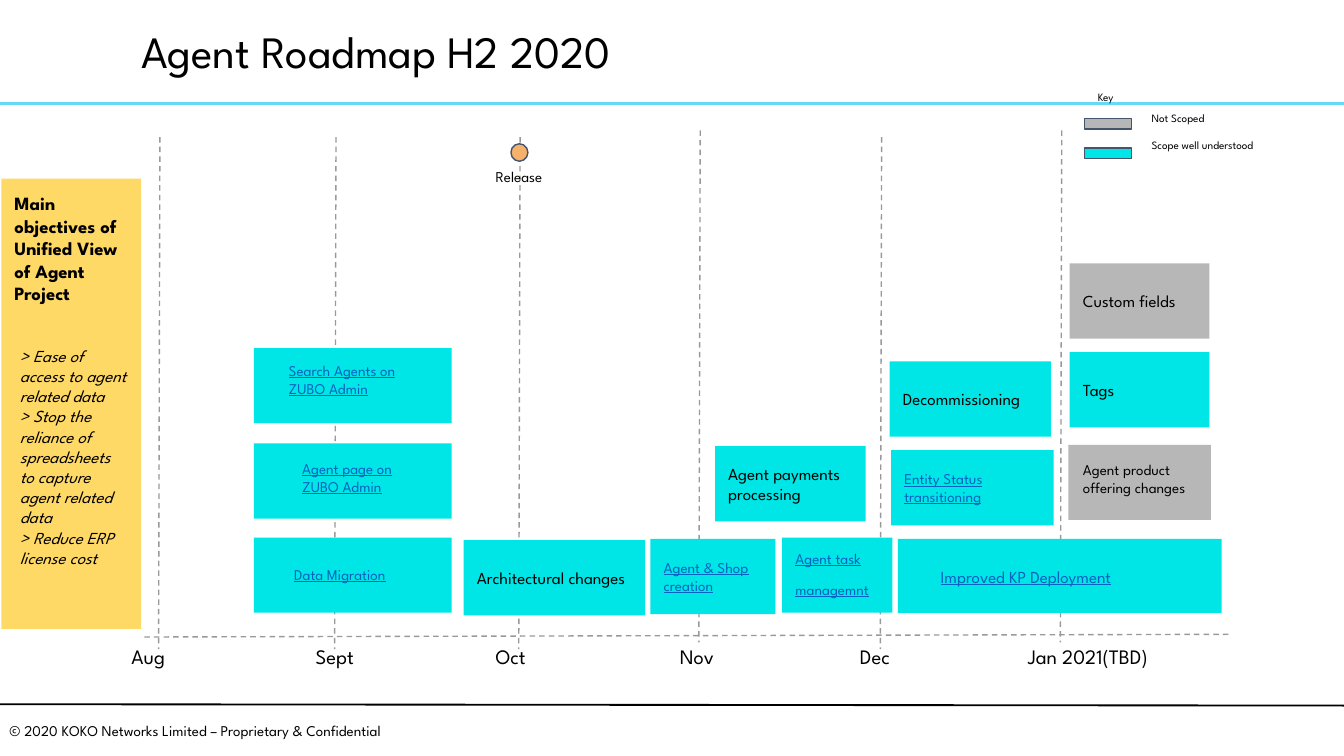
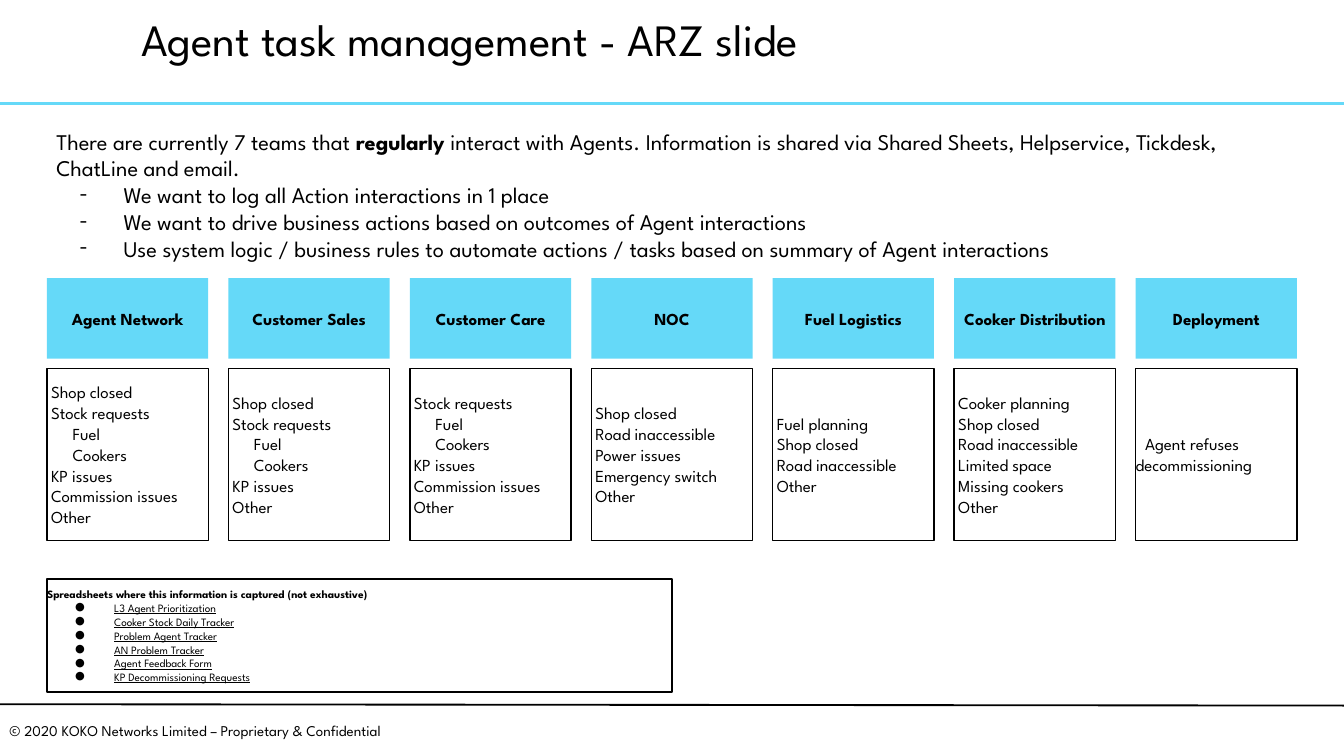
import pptx
import pptx.util
import pptx.dml.color
import pptx.enum.dml
import pptx.enum.shapes
import pptx.enum.text
import pptx.oxml.ns
from lxml import etree

Inches, Pt = pptx.util.Inches, pptx.util.Pt
RGBColor = pptx.dml.color.RGBColor
Shape = pptx.enum.shapes.MSO_SHAPE
Align = pptx.enum.text.PP_ALIGN
Anchor = pptx.enum.text.MSO_ANCHOR
qn = pptx.oxml.ns.qn

BLACK = RGBColor(0x00, 0x00, 0x00)
SKY = RGBColor(0x65, 0xD9, 0xF8)
CYAN = RGBColor(0x00, 0xE5, 0xE5)
GRAY = RGBColor(0xB7, 0xB7, 0xB7)
DASH = RGBColor(0x99, 0x99, 0x99)
GOLD = RGBColor(0xFF, 0xD9, 0x66)
PEACH = RGBColor(0xF6, 0xB2, 0x6B)
SLATE = RGBColor(0x44, 0x54, 0x6A)
LINK = RGBColor(0x05, 0x63, 0xC1)
FONT = "League Spartan"

WIDE = (0.1, 0.1, 0.1, 0.1)
LOW = (0.1, 0.12, 0.1, 0.1)
DEEP = (0.1, 0.14, 0.1, 0.1)
SLIM = (0.07, 0.04, 0.07, 0.04)
TALL = (0, 0.2, 0, 0.2)

FOOTER = "© 2020 KOKO Networks Limited – Proprietary & Confidential"

# Month, x and top of its line, left and width of its label
MONTHS = [
    ("Aug", 1.19, 1.02, 0.88, 0.53),
    ("Sept", 2.5, 1.02, 2.25, 0.53),
    ("Oct", 3.87, 1.02, 3.59, 0.53),
    ("Nov", 5.21, 0.97, 4.96, 0.53),
    ("Dec", 6.56, 1.02, 6.3, 0.53),
    ("Jan 2021(TBD)", 7.9, 0.97, 7.55, 1.12),
]

# Text, box, fill, size, text colour
CARDS = [
    ("Decommissioning", (6.62, 2.69, 1.2, 0.56), CYAN, 9, BLACK),
    ("Agent & Shop creation", (4.84, 4.01, 0.93, 0.56), CYAN, 8, LINK),
    ("Entity Status transitioning", (6.63, 3.35, 1.21, 0.56), CYAN, 8, LINK),
    ([["Agent task managemnt",
       (" ", dict(size=15, face="Arial", color=BLACK, under=False))]],
     (5.82, 4, 0.82, 0.56), CYAN, 8, LINK),
    ("Agent payments processing", (5.32, 3.32, 1.12, 0.56), CYAN, 9, BLACK),
    ("Custom fields", (7.96, 1.96, 1.04, 0.56), GRAY, 9, BLACK),
    ("Architectural changes", (3.45, 4.02, 1.35, 0.56), CYAN, 9, BLACK),
    ("Tags", (7.96, 2.62, 1.04, 0.56), CYAN, 9, BLACK),
]

# Text, box, label box, label inset, fill, size, text colour
TILES = [
    ("Data Migration", (1.89, 4, 1.47, 0.56), (2.09, 4.12, 1.12, 0.36),
     DEEP, CYAN, 8, LINK),
    ("Agent page on ZUBO Admin", (1.89, 3.3, 1.47, 0.56),
     (2.15, 3.32, 1.12, 0.36), WIDE, CYAN, 8, LINK),
    ("Search Agents on ZUBO Admin", (1.89, 2.59, 1.47, 0.56),
     (2.05, 2.59, 1, 0.36), WIDE, CYAN, 8, LINK),
    ("Improved KP Deployment", (6.68, 4.01, 2.41, 0.55),
     (6.9, 4.13, 1.98, 0.35), LOW, CYAN, 9, LINK),
    ("Agent product offering changes", (7.95, 3.31, 1.06, 0.56),
     (7.96, 3.33, 1, 0.36), WIDE, GRAY, 8, BLACK),
]

GOAL = "Main objectives of Unified View of Agent Project"
AIMS = [
    "> Ease of access to agent related data",
    "> Stop the reliance of spreadsheets to capture agent related data",
    "> Reduce ERP license cost",
]

# Text, fill, swatch top, label top, label width
KEYS = [
    ("Not Scoped", GRAY, 0.88, 0.76, 1.05),
    ("Scope well understood", CYAN, 1.1, 0.96, 1.21),
]

INTRO = [
    "There are currently 7 teams that ",
    ("regularly", dict(bold=True)),
    " interact with Agents. Information is shared via Shared Sheets, "
    "Helpservice, Tickdesk, ChatLine and email.",
]
WANTS = [
    "We want to log all Action interactions in 1 place",
    "We want to drive business actions based on outcomes of Agent interactions",
    "Use system logic / business rules to automate actions / tasks based on "
    "summary of Agent interactions",
]

NESTED = ("Fuel", "Cookers")
TEAMS = [
    ("Agent Network", ["Shop closed", "Stock requests", *NESTED, "KP issues",
                       "Commission issues", "Other"]),
    ("Customer Sales", ["Shop closed", "Stock requests", *NESTED, "KP issues",
                        "Other"]),
    ("Customer Care", ["Stock requests", *NESTED, "KP issues",
                       "Commission issues", "Other"]),
    ("NOC", ["Shop closed", "Road inaccessible", "Power issues",
             "Emergency switch", "Other"]),
    ("Fuel Logistics", ["Fuel planning", "Shop closed", "Road inaccessible",
                        "Other"]),
    ("Cooker Distribution", ["Cooker planning", "Shop closed",
                             "Road inaccessible", "Limited space",
                             "Missing cookers", "Other"]),
    ("Deployment", ["Agent refuses decommissioning"]),
]

SHEETS_HEAD = "Spreadsheets where this information is captured (not exhaustive)"
SHEETS = ["L3 Agent Prioritization", "Cooker Stock Daily Tracker",
          "Problem Agent Tracker", "AN Problem Tracker",
          "Agent Feedback Form", "KP Decommissioning Requests"]


def draw(slide, box, fill=None, line=None, kind=Shape.RECTANGLE):
    shape = slide.shapes.add_shape(kind, *map(Inches, box))
    shape.shadow.inherit = False
    if fill is None:
        shape.fill.background()
    else:
        shape.fill.solid()
        shape.fill.fore_color.rgb = fill
    if line is None:
        shape.line.fill.background()
    else:
        shape.line.color.rgb = line
        shape.line.width = Pt(0.75)
    return shape


def rule(slide, start, end, color, width, dash=False):
    line = slide.shapes.add_connector(
        pptx.enum.shapes.MSO_CONNECTOR.STRAIGHT,
        *map(Inches, (*start, *end)))
    line.line.color.rgb = color
    line.line.width = Pt(width)
    if dash:
        line.line.dash_style = pptx.enum.dml.MSO_LINE.DASH
    etree.SubElement(line._element.spPr, qn("a:effectLst"))


def style(font, size=9, face=FONT, color=BLACK, bold=False,
          italic=False, under=False):
    font.size, font.name = Pt(size), face
    font.bold, font.italic, font.underline = bold, italic, under
    font.color.rgb = color


def indent(para, left, first=0, bullet=None):
    props = para._p.get_or_add_pPr()
    props.set("marL", str(Inches(left)))
    props.set("indent", str(Inches(first)))
    if bullet:
        tint = etree.SubElement(props, qn("a:buClr"))
        etree.SubElement(tint, qn("a:srgbClr"), val=str(BLACK))
        etree.SubElement(props, qn("a:buFont"), typeface=FONT)
        etree.SubElement(props, qn("a:buChar"), char=bullet)


def write(slide, text, box=None, shape=None, inset=WIDE, anchor=Anchor.TOP,
          align=Align.LEFT, space=None, indents=None, **look):
    """Fill a shape, or a new text box, with paragraphs of plain or styled runs."""
    shape = shape or slide.shapes.add_textbox(*map(Inches, box))
    frame = shape.text_frame
    frame.word_wrap = True
    frame.vertical_anchor = anchor
    (frame.margin_left, frame.margin_top,
     frame.margin_right, frame.margin_bottom) = map(Inches, inset)
    paras = [text] if isinstance(text, str) else text
    for i, runs in enumerate(paras):
        para = frame.paragraphs[0] if i == 0 else frame.add_paragraph()
        if indents and indents[i]:
            indent(para, *indents[i])
        para.alignment = align
        if space:
            para.line_spacing = space
        for part in [runs] if isinstance(runs, str) else runs:
            words, extra = (part, {}) if isinstance(part, str) else part
            run = para.add_run()
            run.text = words
            style(run.font, **{**look, **extra})


def start(deck, title, top):
    """Add a slide with its title, rules and footer."""
    slide = deck.slides.add_slide(deck.slide_layouts[6])
    rule(slide, (0, 0.77), (10.01, 0.77), SKY, 1.5)
    write(slide, FOOTER, (0, 5.33, 3.97, 0.21), inset=SLIM, size=8)
    rule(slide, (0, 5.24), (10, 5.25), BLACK, 1)
    write(slide, title, (0.98, top, 8.64, 0.64), inset=SLIM,
          anchor=Anchor.MIDDLE, space=0.9, size=24)
    return slide


def roadmap(deck):
    slide = start(deck, "Agent Roadmap H2 2020", 0.08)
    rule(slide, (9.14, 4.72), (1.06, 4.74), DASH, 0.75, dash=True)
    for month, x, top, left, width in MONTHS:
        rule(slide, (x, top), (x - 0.01, top + 3.81), DASH, 0.75, dash=True)
        write(slide, month, (left, 4.7, width, 0.2), size=11)
    for text, box, label, inset, fill, size, color in TILES:
        draw(slide, box, fill)
        write(slide, text, label, inset=inset, size=size, color=color,
              under=color == LINK)
    for text, box, fill, size, color in CARDS:
        write(slide, text, shape=draw(slide, box, fill), anchor=Anchor.MIDDLE,
              size=size, color=color, under=color == LINK)

    draw(slide, (0.01, 1.33, 1.04, 3.35), GOLD)
    write(slide, AIMS, (0.05, 2.47, 0.99, 1.39), size=9, italic=True)
    write(slide, GOAL, (0.01, 1.33, 1.04, 0.76), size=10, bold=True)

    write(slide, "Key", (8.07, 0.61, 0.35, 0.15), inset=LOW, size=6)
    for text, fill, top, label, width in KEYS:
        draw(slide, (8.07, top, 0.35, 0.08), fill, SLATE)
        write(slide, text, (8.47, label, width, 0.2), inset=DEEP, size=6)

    star = draw(slide, (3.81, 1.07, 0.11, 0.13), PEACH, SLATE,
                Shape.STAR_6_POINT)
    star.adjustments[0] = 0.5
    write(slide, "Release", (3.59, 1.16, 0.65, 0.2), inset=DEEP, size=8)


def tasks(deck):
    slide = start(deck, "Agent task management - ARZ slide", -0.01)
    write(slide, [INTRO, *WANTS], (0.35, 0.91, 9.3, 0.97), inset=SLIM, size=12,
          indents=[None] + [(0.5, -0.33, "-")] * len(WANTS))

    block = dict(inset=TALL, anchor=Anchor.MIDDLE, space=1.03)
    for i, (team, items) in enumerate(TEAMS):
        x = 0.35 + 1.35 * i
        head = draw(slide, (x, 2.07, 1.2, 0.6), SKY)
        write(slide, team, shape=head, align=Align.CENTER, bold=True, **block)
        if len(items) == 1:
            steps = [(0, 0.07)]
        else:
            steps = [(0.19 if item in NESTED else 0.03,) for item in items]
        body = draw(slide, (x, 2.74, 1.2, 1.28), line=BLACK)
        write(slide, items, shape=body, indents=steps, **block)

    links = [[(name, dict(bold=False, under=True))] for name in SHEETS]
    panel = draw(slide, (0.35, 4.31, 4.65, 0.84), line=BLACK)
    write(slide, [SHEETS_HEAD, *links], shape=panel, size=6, bold=True,
          indents=[None] + [(0.5, -0.29, "●")] * len(SHEETS), **block)


def main():
    deck = pptx.Presentation()
    deck.slide_width, deck.slide_height = Inches(10), Pt(405)
    roadmap(deck)
    tasks(deck)
    deck.save("out.pptx")


if __name__ == "__main__":
    main()
